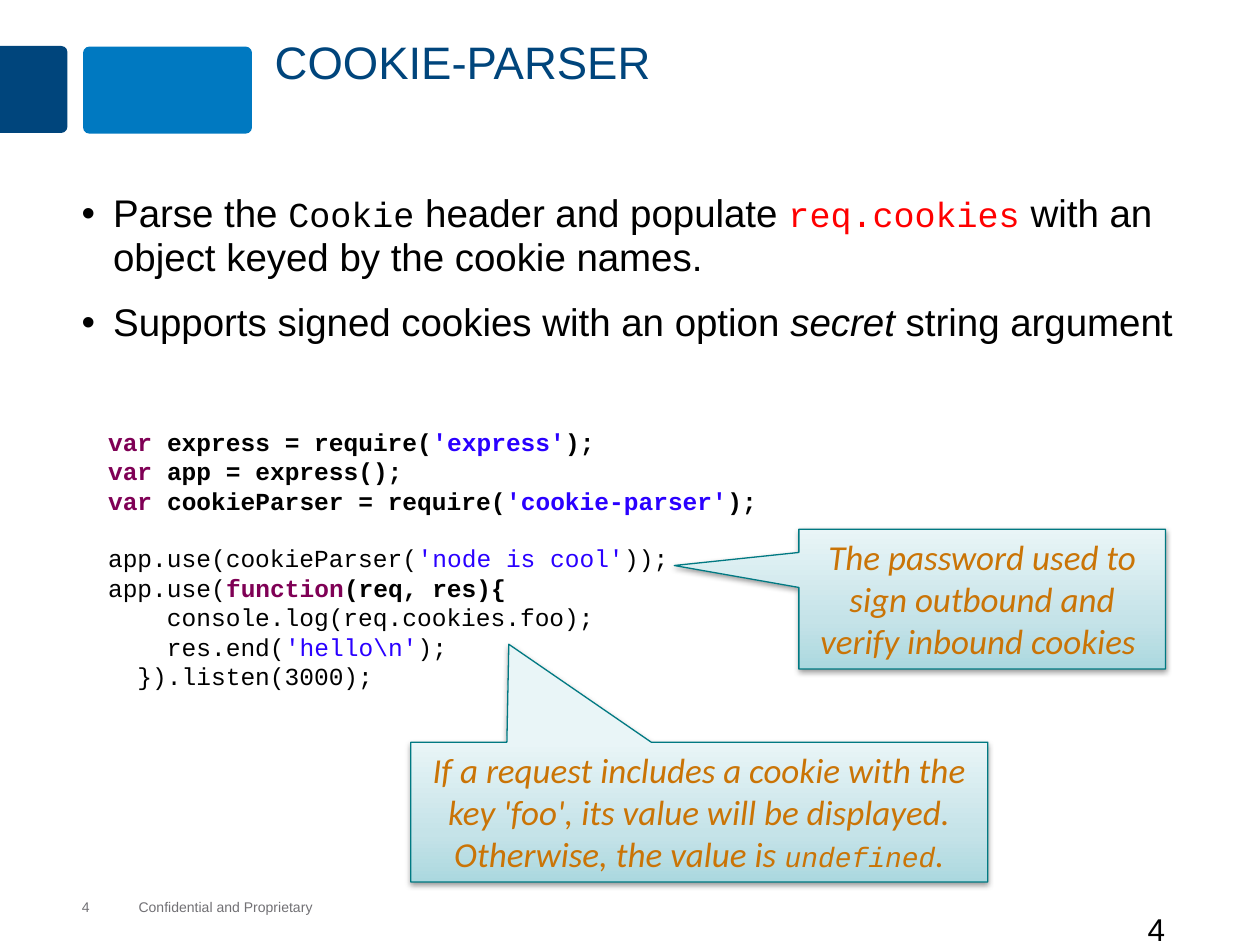
import lxml.etree
import pptx
import pptx.dml.color
import pptx.enum.shapes
import pptx.enum.text
import pptx.oxml.ns
import pptx.util

COLORS = {
    "navy": "00457C", "blue": "0079C1", "gray": "717074", "black": "000000",
    "red": "FF0000", "keyword": "7F0055", "string": "2A00FF",
    "amber": "CA7406", "teal": "007982",
    "mist_dark": "ABD8DF", "mist": "C5E3E8", "mist_light": "E9F5F7",
}
STYLES = {
    "title": ("Arial", 26, "navy", ""),
    "body": ("Arial", 22, "black", ""),
    "body_italic": ("Arial", 22, "black", "i"),
    "body_code": ("Courier New", 20, "black", ""),
    "body_red": ("Courier New", 20, "red", ""),
    "code": ("Courier New", 14, "black", ""),
    "code_bold": ("Courier New", 14, "black", "b"),
    "keyword": ("Courier New", 14, "keyword", "b"),
    "string": ("Courier New", 14, "string", ""),
    "string_bold": ("Courier New", 14, "string", "b"),
    "note": ("Calibri", 20, "amber", "i"),
    "note_code": ("Courier New", 16, "amber", "i"),
    "footer": ("Arial", 8, "gray", ""),
    "page": ("Arial", 18, "black", ""),
}
POINTS = [
    [("Parse the ", "body"), ("Cookie", "body_code"),
     (" header and populate ", "body"), ("req.cookies", "body_red"),
     (" with an object keyed by the cookie names.", "body")],
    [("Supports signed cookies with an option ", "body"),
     ("secret", "body_italic"), (" string argument", "body")],
]
DECLARATIONS = [
    [("var", "keyword"), (" express = require(", "code_bold"),
     ("'express'", "string_bold"), (");", "code_bold")],
    [("var", "keyword"), (" app = express();", "code_bold")],
    [("var ", "keyword"), ("cookieParser = require(", "code_bold"),
     ("'cookie-parser'", "string_bold"), (");", "code_bold")],
]
USAGE = [
    [("app.use(cookieParser(", "code"), ("'node is cool'", "string"), ("));", "code")],
    [("app.use(", "code"), ("function", "keyword"), ("(req, res){", "code_bold")],
    [("    console.log(req.cookies.foo);", "code")],
    [("    res.end(", "code"), ("'hello\\n'", "string"), (");", "code")],
    [("  }).listen(3000);", "code")],
]
PASSWORD_NOTE = [("The password used to sign outbound and verify inbound cookies ", "note")]
VALUE_NOTE = [
    ("If a request includes a cookie with the key 'foo', its value will be displayed. "
     "Otherwise, the value is ", "note"),
    ("undefined", "note_code"), (".", "note"),
]

WIDTH, HEIGHT = pptx.util.Inches(10), pptx.util.Inches(7.5)
COLUMN, ROW = WIDTH / 100, HEIGHT / 75
SHAPE = pptx.enum.shapes.MSO_SHAPE
ALIGN = pptx.enum.text.PP_ALIGN
ANCHOR = pptx.enum.text.MSO_ANCHOR
qn = pptx.oxml.ns.qn


def rgb(name):
    return pptx.dml.color.RGBColor.from_string(COLORS[name])


def place(box, column=0, row=0, columns=None, rows=None):
    left, top, width, height = box
    columns = width if columns is None else columns
    rows = height if rows is None else rows
    return [round(length) for length in (
        (left + column) * COLUMN, (top + row) * ROW, columns * COLUMN, rows * ROW)]


def write(frame, paragraphs, align=ALIGN.LEFT, anchor=ANCHOR.TOP, wrap=True):
    frame.word_wrap = wrap
    frame.vertical_anchor = anchor
    for index, runs in enumerate(paragraphs):
        paragraph = frame.add_paragraph() if index else frame.paragraphs[0]
        paragraph.alignment = align
        paragraph.space_before = pptx.util.Pt(0)
        for text, style in runs:
            family, size, color, emphasis = STYLES[style]
            run = paragraph.add_run()
            run.text = text
            run.font.name = family
            run.font.size = pptx.util.Pt(size)
            run.font.color.rgb = rgb(color)
            run.font.bold = "b" in emphasis
            run.font.italic = "i" in emphasis


def draw_block(slide, kind, bounds, color, corners):
    block = slide.shapes.add_shape(kind, *bounds)
    for index, corner in enumerate(corners):
        block.adjustments[index] = corner
    block.shadow.inherit = False
    block.fill.solid()
    block.fill.fore_color.rgb = rgb(color)
    block.line.fill.background()
    return block


def draw_header(slide, box):
    edge = draw_block(slide, SHAPE.ROUND_2_SAME_RECTANGLE,
                      place(box, -0.8, 1.9, 6.9, 5.4), "navy", [0.09, 0])
    edge.rotation = 90
    draw_block(slide, SHAPE.ROUNDED_RECTANGLE,
               place(box, 6.6, 1.2, 13.4, 6.9), "blue", [0.07])
    title = slide.shapes.title
    title.left, title.top, title.width, title.height = place(box, 20.8, 0, 76.7)
    write(title.text_frame, [[("COOKIE-PARSER", "title")]])
    title.text_frame.paragraphs[0].line_spacing = 0.95


def draw_points(slide, box):
    frame = slide.shapes.add_textbox(*place(box)).text_frame
    write(frame, POINTS)
    indent = pptx.util.Inches(0.25)
    for index, paragraph in enumerate(frame.paragraphs):
        paragraph.line_spacing = 0.95
        paragraph.space_before = pptx.util.Pt(12 if index else 0)
        properties = paragraph._p.get_or_add_pPr()
        properties.set("marL", str(indent))
        properties.set("indent", str(-indent))
        lxml.etree.SubElement(properties, qn("a:buFont")).set("typeface", "Arial")
        lxml.etree.SubElement(properties, qn("a:buChar")).set("char", "•")


def draw_code(slide, box):
    frame = slide.shapes.add_textbox(*place(box)).text_frame
    write(frame, DECLARATIONS + USAGE)
    frame.paragraphs[len(DECLARATIONS)].space_before = pptx.util.Pt(16)


def draw_callout(slide, box, tip, runs):
    callout = slide.shapes.add_shape(SHAPE.RECTANGULAR_CALLOUT, *place(box))
    callout.adjustments[0], callout.adjustments[1] = tip
    callout.line.color.rgb = rgb("teal")
    callout.line.width = pptx.util.Pt(0.75)
    callout.fill.gradient()
    callout.fill.gradient_angle = 90
    properties = callout._element.spPr
    stops = properties.find(".//" + qn("a:gsLst"))
    for stop in list(stops):
        stops.remove(stop)
    for percent, color in ((0, "mist_dark"), (35, "mist"), (100, "mist_light")):
        stop = lxml.etree.SubElement(stops, qn("a:gs"), pos=str(percent * 1000))
        lxml.etree.SubElement(stop, qn("a:srgbClr"), val=COLORS[color])
    callout.shadow.inherit = False
    shadow = lxml.etree.SubElement(
        properties.find(qn("a:effectLst")), qn("a:outerShdw"),
        blurRad="40000", dist="20000", dir="5400000", rotWithShape="0")
    tint = lxml.etree.SubElement(shadow, qn("a:srgbClr"), val=COLORS["black"])
    lxml.etree.SubElement(tint, qn("a:alpha"), val="38000")
    write(callout.text_frame, [runs], ALIGN.CENTER)


def draw_footer(slide, box):
    for text, column, columns, wrap in (
            ("Confidential and Proprietary", 11, 14, False), ("4", 6.5, 6.3, True)):
        frame = slide.shapes.add_textbox(*place(box, column, 0, columns, 1.3)).text_frame
        frame.margin_left = frame.margin_right = frame.margin_top = frame.margin_bottom = 0
        write(frame, [[(text, "footer")]], anchor=ANCHOR.MIDDLE, wrap=wrap)
    page = slide.shapes.add_textbox(*place(box, 90.1, 0.4, 9.9, 5))
    write(page.text_frame, [[("4", "page")]])


def main():
    deck = pptx.Presentation()
    deck.slide_width, deck.slide_height = WIDTH, HEIGHT
    slide = deck.slides.add_slide(deck.slide_layouts[5])
    draw_header(slide, (0, 2.5, 100, 9.1))
    draw_footer(slide, (0, 71.3, 100, 3.7))
    draw_points(slide, (5.5, 14.8, 88.7, 52.7))
    draw_callout(slide, (63.4, 42, 29.1, 11.1), (-0.84, -0.24), PASSWORD_NOTE)
    draw_code(slide, (7.6, 33.4, 61.7, 22.2))
    draw_callout(slide, (32.6, 58.9, 45.8, 11.1), (-0.33, -1.2), VALUE_NOTE)
    deck.save("out.pptx")


if __name__ == "__main__":
    main()
